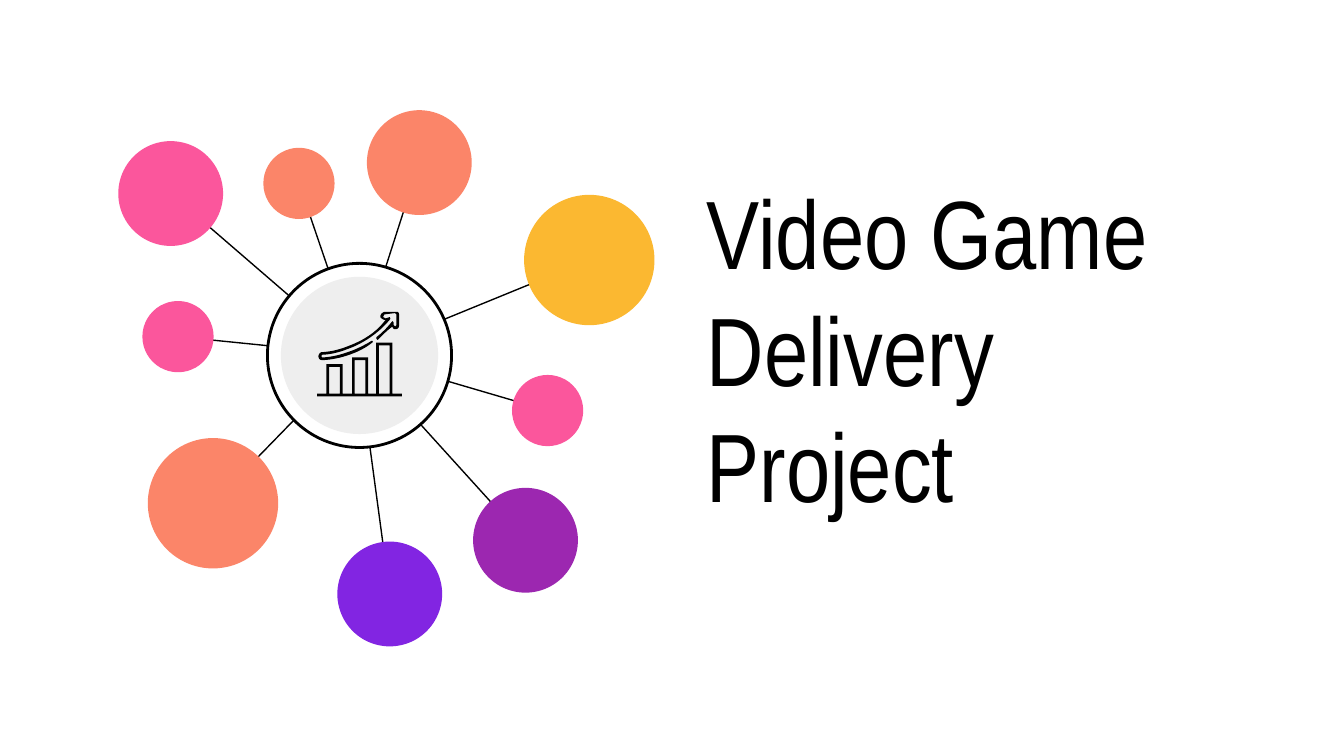
from pptx import Presentation
from pptx.dml.color import RGBColor
from pptx.enum.shapes import MSO_CONNECTOR as Connector, MSO_SHAPE as Shape
from pptx.enum.text import MSO_ANCHOR as Anchor
from pptx.oxml.ns import qn
from pptx.util import Pt
from lxml.etree import SubElement

EMU_PER_PX = 9144
CURVE_STEPS = 12
BLACK = "000000"
PINK, CORAL, AMBER = "FB569C", "FB8569", "FBB831"
PURPLE, VIOLET = "9C27B0", "8225E2"

HUB_CENTER = (266, 264)
SATELLITES = [
    (390, 145, 97, AMBER),
    (110, 326, 97, CORAL),
    (273, 82, 78, CORAL),
    (88, 105, 78, PINK),
    (352, 363, 78, PURPLE),
    (251, 403, 78, VIOLET),
    (106, 224, 53, PINK),
    (381, 279, 53, PINK),
    (196, 110, 53, CORAL),
]

BARS = [(243, 271), (262, 266), (280, 255)]
BAR_WIDTH, STROKE = 12, 2
AXIS_LEFT, AXIS_RIGHT, AXIS_TOP = 236, 299, 293

ARROW = [
    [(294, 232)], [(286, 232)],
    [(284, 233), (283, 234), (283, 236)],
    [(284, 237), (285, 238), (286, 238)], [(287, 238)],
    [(278, 250), (266, 255), (258, 258)],
    [(248, 262), (240, 262), (240, 262)],
    [(238, 262), (237, 264), (237, 265)],
    [(237, 267), (238, 268), (240, 268)],
    [(240, 268), (249, 268), (260, 264)],
    [(266, 262), (272, 259), (277, 255)],
    [(278, 254), (277, 253), (276, 254)],
    [(271, 257), (265, 260), (259, 262)],
    [(248, 266), (240, 266), (240, 266)],
    [(239, 266), (239, 264), (240, 264)],
    [(240, 264), (248, 264), (258, 260)],
    [(267, 257), (280, 250), (290, 238)],
    [(291, 237), (290, 236), (290, 236)],
    [(287, 237)], [(285, 236)], [(286, 234)], [(294, 233)],
    [(295, 234)], [(295, 242)], [(294, 243)], [(293, 242)],
    [(293, 240)], [(292, 239)],
    [(288, 244), (284, 248), (280, 251)],
    [(280, 252)], [(281, 253)],
    [(285, 249), (288, 246), (292, 243)],
    [(292, 244), (293, 245), (294, 245)],
    [(296, 245), (297, 244), (297, 242)],
    [(297, 235)],
    [(297, 234), (297, 233), (296, 232)],
]


def px(length):
    """Turn px into EMU."""
    return round(length * EMU_PER_PX)


def color(value):
    """Turn a hex string into a colour."""
    return RGBColor.from_string(value)


def paint(shape, fill, outline=None):
    """Set a flat fill and an optional black outline without shadow."""
    shape.shadow.inherit = False
    shape.fill.solid()
    shape.fill.fore_color.rgb = color(fill)
    if outline:
        shape.line.color.rgb = color(BLACK)
        shape.line.width = Pt(outline)
    else:
        shape.line.fill.background()


def add_circle(slide, left, top, diameter, fill, outline=None):
    """Draw a filled circle."""
    circle = slide.shapes.add_shape(Shape.OVAL, *map(px, (left, top, diameter, diameter)))
    paint(circle, fill, outline)


def add_spoke(slide, start, end):
    """Draw a thin straight line between two points."""
    spoke = slide.shapes.add_connector(Connector.STRAIGHT, *map(px, start + end))
    spoke.line.color.rgb = color(BLACK)
    spoke.line.width = Pt(0.75)
    SubElement(spoke.element.spPr, qn("a:effectLst"))


def add_satellite(slide, left, top, diameter, fill):
    """Draw a circle tied to the hub by a spoke."""
    radius = diameter / 2
    add_spoke(slide, (left + radius, top + radius), HUB_CENTER)
    add_circle(slide, left, top, diameter, fill)


def add_outline(slide, contours):
    """Fill closed contours in black, with inner contours as holes."""
    first, *holes = [[(px(x), px(y)) for x, y in contour] for contour in contours]
    builder = slide.shapes.build_freeform(*first[0], scale=1.0)
    builder.add_line_segments(first[1:], close=True)
    for hole in holes:
        builder.move_to(*hole[0])
        builder.add_line_segments(hole[1:], close=True)
    paint(builder.convert_to_shape(), BLACK)


def trace(segments):
    """Turn lines and cubic curves into a list of points."""
    points = []
    for segment in segments:
        if len(segment) == 1:
            points.append(segment[0])
            continue
        controls = [points[-1], *segment]
        for step in range(1, CURVE_STEPS + 1):
            t = step / CURVE_STEPS
            weights = ((1 - t) ** 3, 3 * t * (1 - t) ** 2, 3 * t * t * (1 - t), t ** 3)
            points.append(tuple(
                sum(w * c for w, c in zip(weights, axis)) for axis in zip(*controls)))
    return points


def add_growth_icon(slide):
    """Draw the bar chart icon with its rising arrow."""
    bottom = AXIS_TOP + STROKE
    skyline, holes = [(AXIS_LEFT, bottom), (AXIS_LEFT, AXIS_TOP)], []
    for left, top in BARS:
        right = left + BAR_WIDTH
        skyline += [(left, AXIS_TOP), (left, top), (right, top), (right, AXIS_TOP)]
        inner_left, inner_right, inner_top = left + STROKE, right - STROKE, top + STROKE
        holes.append([(inner_left, inner_top), (inner_left, AXIS_TOP),
                      (inner_right, AXIS_TOP), (inner_right, inner_top)])
    skyline += [(AXIS_RIGHT, AXIS_TOP), (AXIS_RIGHT, bottom)]
    add_outline(slide, [skyline, *holes])
    add_outline(slide, [trace(ARROW)])


def add_title(slide, text):
    """Write the large title beside the diagram."""
    frame = slide.shapes.add_textbox(px(516), px(140), px(376), px(237)).text_frame
    frame.word_wrap = True
    frame.vertical_anchor = Anchor.MIDDLE
    frame.margin_left = frame.margin_right = px(10)
    frame.margin_top = frame.margin_bottom = px(10)
    frame.text = text
    paragraph = frame.paragraphs[0]
    paragraph.line_spacing = Pt(62.4)
    font = paragraph.runs[0].font
    font.name = "Arial Narrow"
    font.size = Pt(52)
    font.color.rgb = color(BLACK)


def main():
    """Build the title slide."""
    deck = Presentation()
    deck.slide_width = px(1000)
    deck.slide_height = deck.slide_width * 9 // 16
    slide = deck.slides.add_slide(deck.slide_layouts[6])
    add_title(slide, "Video Game Delivery Project")
    for satellite in SATELLITES:
        add_satellite(slide, *satellite)
    add_circle(slide, 199, 196, 137, "FFFFFF", 1.5)
    add_circle(slide, 209, 206, 117, "EEEEEE")
    add_growth_icon(slide)
    deck.save("out.pptx")


if __name__ == "__main__":
    main()
